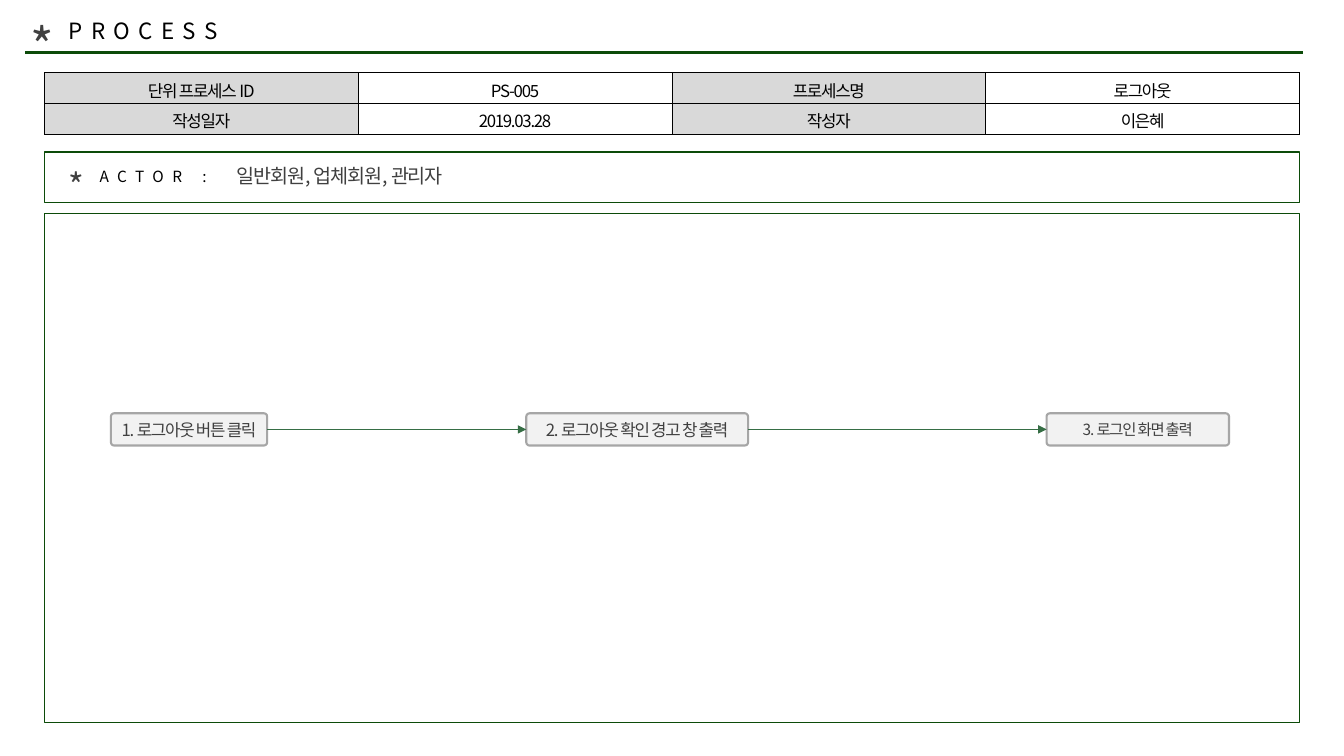
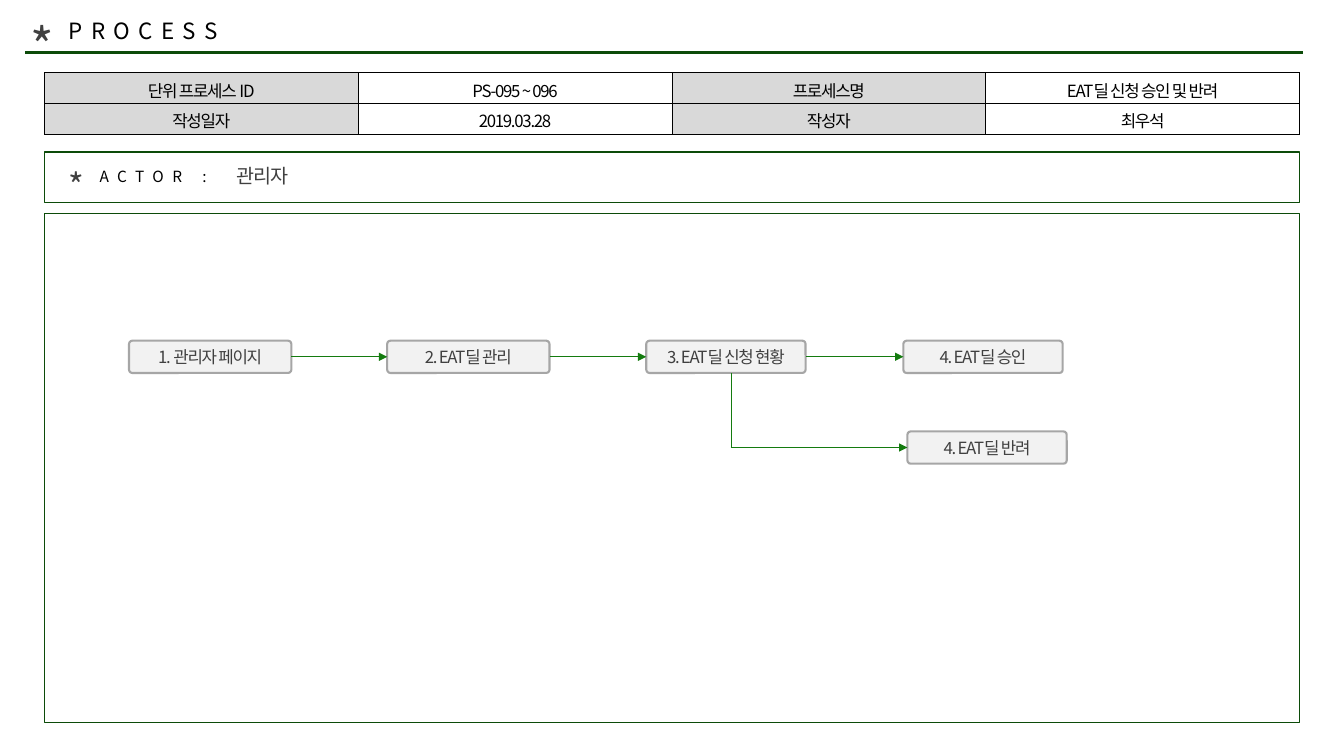
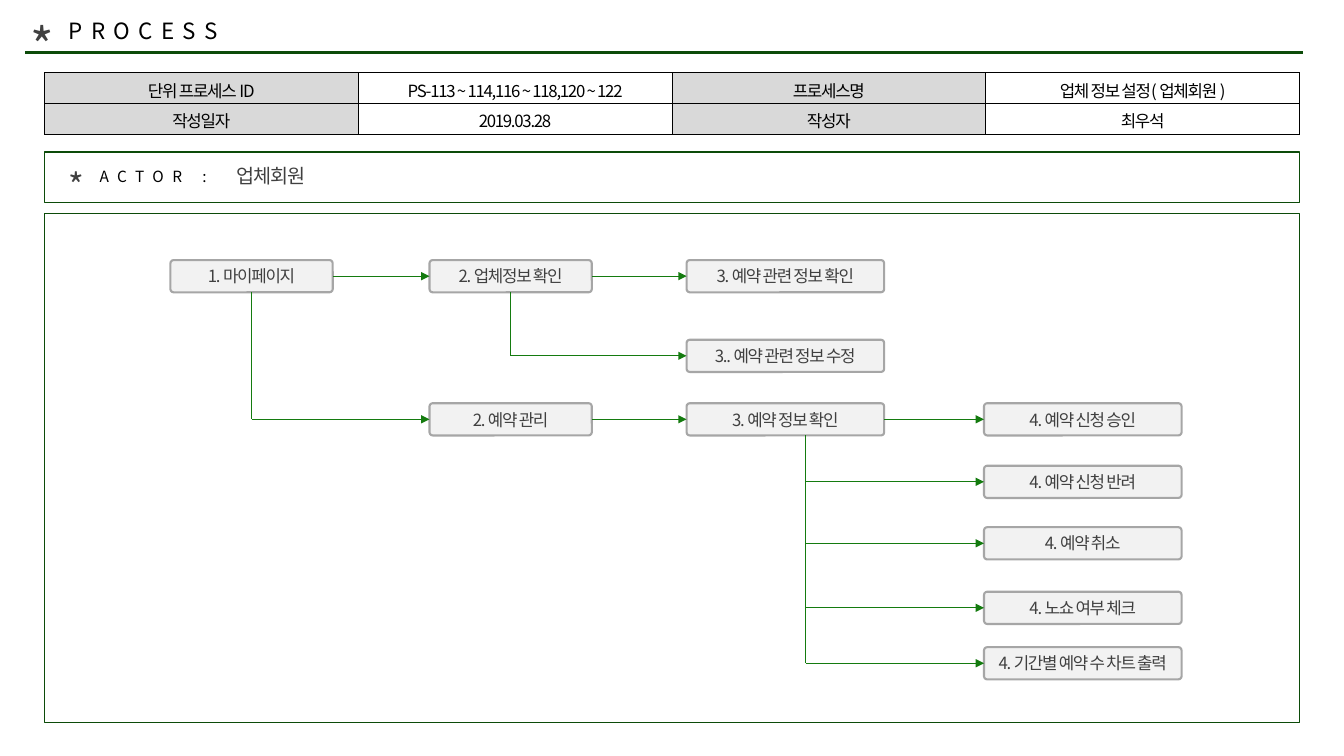
from lxml.etree import SubElement
from pptx import Presentation
from pptx.dml.color import RGBColor
from pptx.enum.shapes import MSO_CONNECTOR, MSO_SHAPE
from pptx.enum.text import MSO_ANCHOR, PP_ALIGN
from pptx.oxml.ns import qn
from pptx.util import Inches, Pt

FONT = "Noto Sans CJK KR"
COLORS = {
    "frame": "0C4B09",
    "arrow": "147B0F",
    "soft_arrow": "366E45",
    "text": "404040",
    "black": "000000",
    "header": "D9D9D9",
    "node": "F2F2F2",
    "node_line": "A6A6A6",
}
TABLE_BOX = (0.44, 0.72, 12.45, 0.61)
ACTOR_BOX = (0.44, 1.51, 12.45, 0.5)
FLOW_BOX = (0.44, 2.12, 12.45, 5.05)
NODE_HEIGHT = 0.32
TIGHT, WIDE = -90, 600


def rgb(name):
    return RGBColor.from_string(COLORS[name])


def write(tf, text, size, color="text", spacing=TIGHT, align=PP_ALIGN.LEFT):
    tf.text = text
    tf.word_wrap = True
    p = tf.paragraphs[0]
    p.alignment = align
    for r in p.runs:
        r.font.size = Pt(size)
        r.font.color.rgb = rgb(color)
        r.font.name = FONT
        rPr = r.font._element
        rPr.set("spc", str(spacing))
        SubElement(rPr, qn("a:ea")).set("typeface", FONT)


def add_text(s, box, text, size, **style):
    sp = s.shapes.add_textbox(*map(Inches, box))
    write(sp.text_frame, text, size, **style)


def add_box(s, box, line, width, kind=MSO_SHAPE.RECTANGLE, fill=None):
    sp = s.shapes.add_shape(kind, *map(Inches, box))
    sp.shadow.inherit = False
    if fill:
        sp.fill.solid()
        sp.fill.fore_color.rgb = rgb(fill)
    else:
        sp.fill.background()
    sp.line.color.rgb = rgb(line)
    sp.line.width = Pt(width)
    return sp


def add_line(s, start, end, color, width=0.5, arrow=False):
    line = s.shapes.add_connector(MSO_CONNECTOR.STRAIGHT, *start, *end)
    line.line.color.rgb = rgb(color)
    line.line.width = Pt(width)
    if arrow:
        SubElement(line.line._get_or_add_ln(), qn("a:tailEnd")).set("type", "triangle")
    SubElement(line._element.spPr, qn("a:effectLst"))
    return line


def add_rule(s, layout):
    y = Inches(0.52)
    rule = add_line(s, (Inches(0.25), y), (Inches(12.92), y), "frame", 2.25)
    layout.shapes._spTree.append(rule._element)


def add_header(s):
    title = s.shapes.title
    title.left, title.top, title.width, title.height = map(Inches, (0.58, 0.12, 4.32, 0.37))
    title.text_frame.vertical_anchor = MSO_ANCHOR.TOP
    write(title.text_frame, "PROCESS", 16, "black", WIDE)
    add_text(s, (0.2, 0.1, 0.52, 0.71), "*", 36)


def add_border(tcPr, side):
    ln = SubElement(tcPr, qn("a:" + side), w=str(Pt(0.5)))
    fill = SubElement(ln, qn("a:solidFill"))
    SubElement(fill, qn("a:srgbClr"), val=COLORS["black"])


def add_info_table(s, box, process_id, name, author):
    rows = [
        ("단위 프로세스 ID", process_id, "프로세스명", name),
        ("작성일자", "2019.03.28", "작성자", author),
    ]
    table = s.shapes.add_table(2, 4, *map(Inches, box)).table
    table.first_row = table.horz_banding = False
    for i, row in enumerate(rows):
        for j, text in enumerate(row):
            cell = table.cell(i, j)
            cell.vertical_anchor = MSO_ANCHOR.MIDDLE
            cell.margin_top, cell.margin_bottom = Inches(0.05), Inches(0.01)
            write(cell.text_frame, text, 12, "black", align=PP_ALIGN.CENTER)
            for side in ("lnL", "lnR", "lnT", "lnB"):
                add_border(cell._tc.get_or_add_tcPr(), side)
            if j % 2 == 0:
                cell.fill.solid()
                cell.fill.fore_color.rgb = rgb("header")
            else:
                cell.fill.background()


def add_actor(s, box, actor):
    x, y = box[:2]
    add_box(s, box, "frame", 1)
    add_text(s, (x + 0.14, y + 0.08, 0.52, 0.5), "*", 24)
    add_text(s, (x + 0.45, y + 0.1, 1.33, 0.29), "ACTOR :", 11, color="black", spacing=WIDE)
    add_text(s, (x + 1.81, y + 0.07, 4.32, 0.34), actor, 14)


def add_node(s, box, text, size=12):
    sp = add_box(s, box, "node_line", 1.5, MSO_SHAPE.ROUNDED_RECTANGLE, "node")
    sp.adjustments[0] = 0.1
    tf = sp.text_frame
    tf.margin_left = tf.margin_right = tf.margin_top = tf.margin_bottom = Inches(0.04)
    tf.vertical_anchor = MSO_ANCHOR.MIDDLE
    write(tf, text, size, align=PP_ALIGN.CENTER)
    return sp


def middle(sp):
    return sp.top + sp.height // 2


def add_link(s, source, target, color):
    start = (source.left + source.width, middle(source))
    line = add_line(s, start, (target.left, middle(target)), color, arrow=True)
    line.begin_connect(source, 3)
    line.end_connect(target, 1)


def add_branch(s, source, targets, color, shift):
    x = source.left + source.width // 2 + Inches(shift)
    trunk = add_line(s, (x, source.top + source.height), (x, middle(targets[-1])), color)
    if not shift:
        trunk.begin_connect(source, 2)
    for target in targets:
        y = middle(target)
        add_line(s, (x, y), (target.left, y), color, arrow=True).end_connect(target, 1)


def add_flow(s, box, nodes, links, branches=(), color="arrow"):
    add_box(s, box, "frame", 1)
    x, y = box[:2]
    sps = [
        add_node(s, (x + dx, y + dy, width, NODE_HEIGHT), *label)
        for dx, dy, width, *label in nodes
    ]
    for a, b in links:
        add_link(s, sps[a], sps[b], color)
    for source, targets, shift in branches:
        add_branch(s, sps[source], [sps[t] for t in targets], color, shift)


PROCESSES = [
    {
        "info": ("PS-005", "로그아웃", "이은혜"),
        "actor": "일반회원, 업체회원, 관리자",
        "flow": {
            "nodes": [
                (0.66, 1.98, 1.55, "1. 로그아웃 버튼 클릭"),
                (4.78, 1.98, 2.2, "2. 로그아웃 확인 경고 창 출력"),
                (9.94, 1.98, 1.81, "3. 로그인 화면 출력", 11),
            ],
            "links": [(0, 1), (1, 2)],
            "color": "soft_arrow",
        },
    },
    {
        "info": ("PS-095 ~ 096", "EAT딜 신청 승인 및 반려", "최우석"),
        "actor": "관리자",
        "flow": {
            "nodes": [
                (0.84, 1.26, 1.61, "1. 관리자 페이지"),
                (3.4, 1.26, 1.61, "2. EAT딜 관리"),
                (5.97, 1.26, 1.58, "3. EAT딜 신청 현황"),
                (8.52, 1.26, 1.58, "4. EAT딜 승인"),
                (8.56, 2.16, 1.58, "4. EAT딜 반려"),
            ],
            "links": [(0, 1), (1, 2), (2, 3)],
            "branches": [(2, [4], 0.05)],
        },
    },
    {
        "info": ("PS-113 ~ 114,116 ~ 118,120 ~ 122", "업체 정보 설정( 업체회원 )", "최우석"),
        "actor": "업체회원",
        "flow": {
            "nodes": [
                (1.25, 0.46, 1.61, "1. 마이페이지"),
                (3.82, 0.46, 1.61, "2. 업체정보 확인"),
                (6.37, 0.46, 1.96, "3. 예약 관련 정보 확인"),
                (6.37, 1.25, 1.96, "3.. 예약 관련 정보 수정"),
                (3.82, 1.88, 1.61, "2. 예약 관리"),
                (6.37, 1.88, 1.96, "3. 예약 정보 확인"),
                (9.32, 1.88, 1.96, "4. 예약 신청 승인"),
                (9.32, 2.5, 1.96, "4. 예약 신청 반려"),
                (9.32, 3.11, 1.96, "4. 예약 취소"),
                (9.32, 3.75, 1.96, "4. 노쇼 여부 체크"),
                (9.32, 4.3, 1.96, "4. 기간별 예약 수 차트 출력"),
            ],
            "links": [(0, 1), (1, 2), (4, 5), (5, 6)],
            "branches": [(0, [4], 0), (1, [3], 0), (5, [7, 8, 9, 10], 0.2)],
        },
    },
]


def add_process(prs, layout, process):
    s = prs.slides.add_slide(layout)
    add_header(s)
    add_info_table(s, TABLE_BOX, *process["info"])
    add_actor(s, ACTOR_BOX, process["actor"])
    add_flow(s, FLOW_BOX, **process["flow"])
    return s


def main():
    prs = Presentation()
    prs.slide_width, prs.slide_height = Inches(13.33), Inches(7.5)
    layout = prs.slide_layouts[5]
    slides = [add_process(prs, layout, process) for process in PROCESSES]
    add_rule(slides[0], layout)
    prs.save("out.pptx")


if __name__ == "__main__":
    main()
